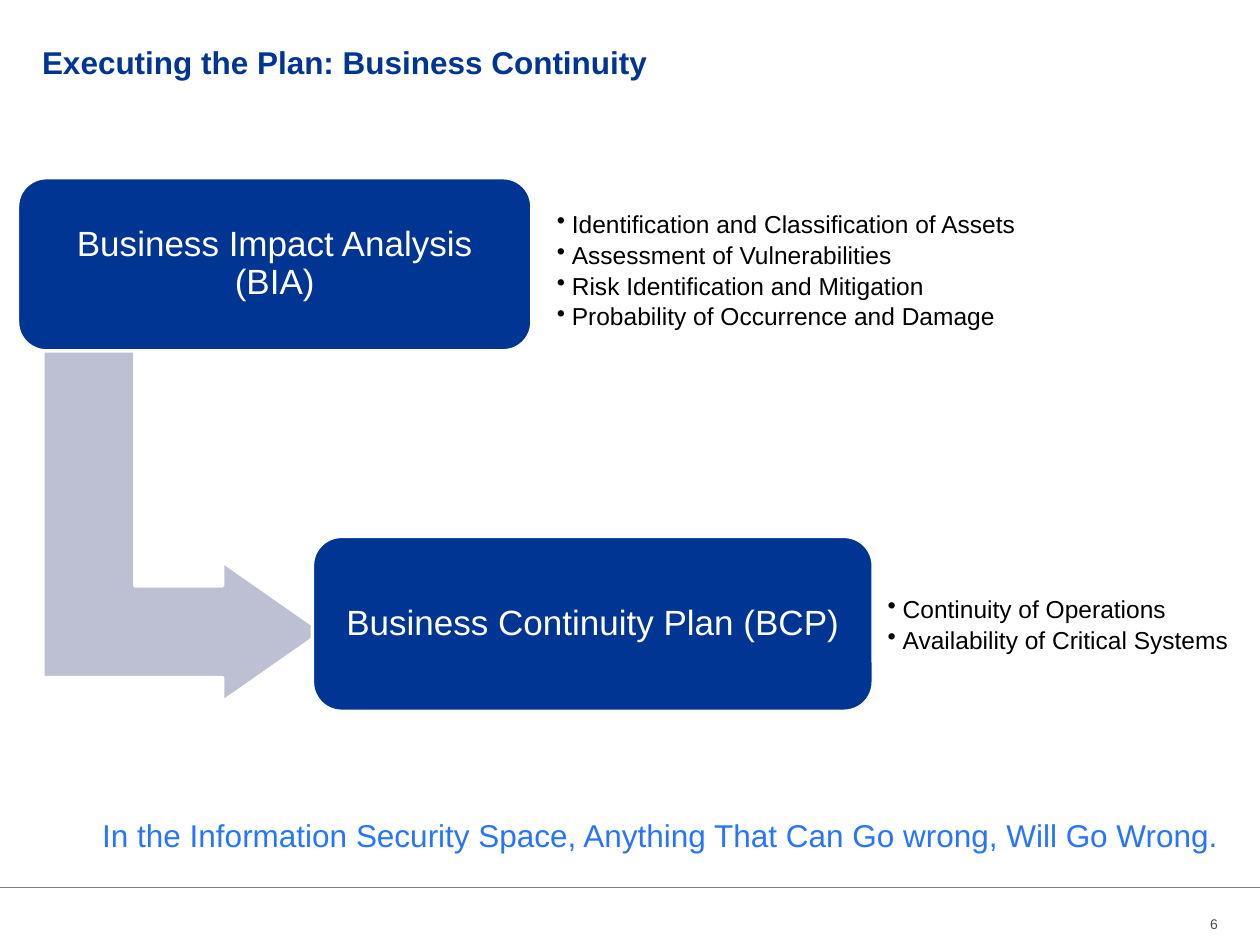
from lxml.etree import SubElement as Sub
from pptx import Presentation
from pptx.dml.color import RGBColor
from pptx.enum.shapes import MSO_CONNECTOR as Conn, MSO_SHAPE as Kind
from pptx.enum.text import MSO_ANCHOR as Anchor, PP_ALIGN as Align
from pptx.oxml.ns import qn
from pptx.util import Pt

NAVY, SKY, MIST, WHITE = "003594", "2674FF", "BDBFD2", "FFFFFF"


def color(hex):
    return RGBColor.from_string(hex)


def bullet(par, hang=8.6):
    props = par._p.get_or_add_pPr()
    props.set("marL", str(Pt(hang)))
    props.set("indent", str(-Pt(hang)))
    Sub(props, qn("a:buChar"), char="•")


def write(shape, *lines, size=14, ink="000000", bold=False, align=Align.LEFT,
          pad=0, space=1, after=0, dots=False):
    """Fill a shape with one paragraph per line, centred vertically."""
    frame = shape.text_frame
    frame.word_wrap = True
    frame.vertical_anchor = Anchor.MIDDLE
    frame.margin_left = frame.margin_right = Pt(pad)
    frame.margin_top = frame.margin_bottom = Pt(pad)
    for i, line in enumerate(lines):
        par = frame.add_paragraph() if i else frame.paragraphs[0]
        if dots:
            bullet(par)
        par.alignment = align
        par.line_spacing = space
        par.space_after = Pt(after)
        run = par.add_run()
        run.text = line
        font = run.font
        font.name, font.size, font.bold = "Arial", Pt(size), bold
        font.color.rgb = color(ink)


def label(slide, box, *lines, **style):
    write(slide.shapes.add_textbox(*map(Pt, box)), *lines, **style)


def block(slide, kind, box, fill, *adjust):
    shape = slide.shapes.add_shape(kind, *map(Pt, box))
    shape.shadow.inherit = False
    shape.fill.solid()
    shape.fill.fore_color.rgb = color(fill)
    shape.line.color.rgb = color(WHITE)
    shape.line.width = Pt(2)
    for i, value in enumerate(adjust):
        shape.adjustments[i] = value
    return shape


def step(slide, box, title, area, *points):
    """Draw a rounded box with its bullet list on the right."""
    card = block(slide, Kind.ROUNDED_RECTANGLE, box, NAVY, 0.167)
    write(card, title, size=20, ink=WHITE, align=Align.CENTER, pad=6, space=0.9)
    label(slide, area, *points, pad=4.2, space=0.9, after=2.5, dots=True)


def rule(slide, y):
    line = slide.shapes.add_connector(Conn.STRAIGHT, 0, Pt(y), Pt(720), Pt(y))
    line.line.color.rgb = color("7F7F7F")
    line.line.width = Pt(0.75)
    Sub(line._element.spPr, qn("a:effectLst"))


def main():
    deck = Presentation()
    deck.slide_width, deck.slide_height = Pt(720), Pt(540)
    slide = deck.slides.add_slide(deck.slide_layouts[6])

    rule(slide, 507)
    label(slide, (24, 11.5, 672, 47.5), "Executing the Plan: Business Continuity",
          size=18, ink=NAVY, bold=True)
    label(slide, (666.5, 519, 29.5, 17.5), "6", size=8, ink="4F4E50",
          align=Align.RIGHT)
    label(slide, (34.5, 462.5, 685.5, 29),
          "In the Information Security Space, Anything That Can Go wrong, "
          "Will Go Wrong.", size=18, ink=SKY, align=Align.CENTER, pad=3.6)

    arrow = block(slide, Kind.BENT_UP_ARROW, (1.5, 218, 206, 160), MIST,
                  0.328, 0.25, 0.358)
    arrow.rotation = 90
    step(slide, (10, 101.5, 294, 99), "Business Impact Analysis (BIA)",
         (314, 108, 320, 94.5),
         "Identification and Classification of Assets",
         "Assessment of Vulnerabilities",
         "Risk Identification and Mitigation",
         "Probability of Occurrence and Damage")
    step(slide, (178.5, 306.5, 320.5, 100), "Business Continuity Plan (BCP)",
         (503, 317.5, 214, 80.5),
         "Continuity of Operations",
         "Availability of Critical Systems")

    deck.save("out.pptx")


if __name__ == "__main__":
    main()
